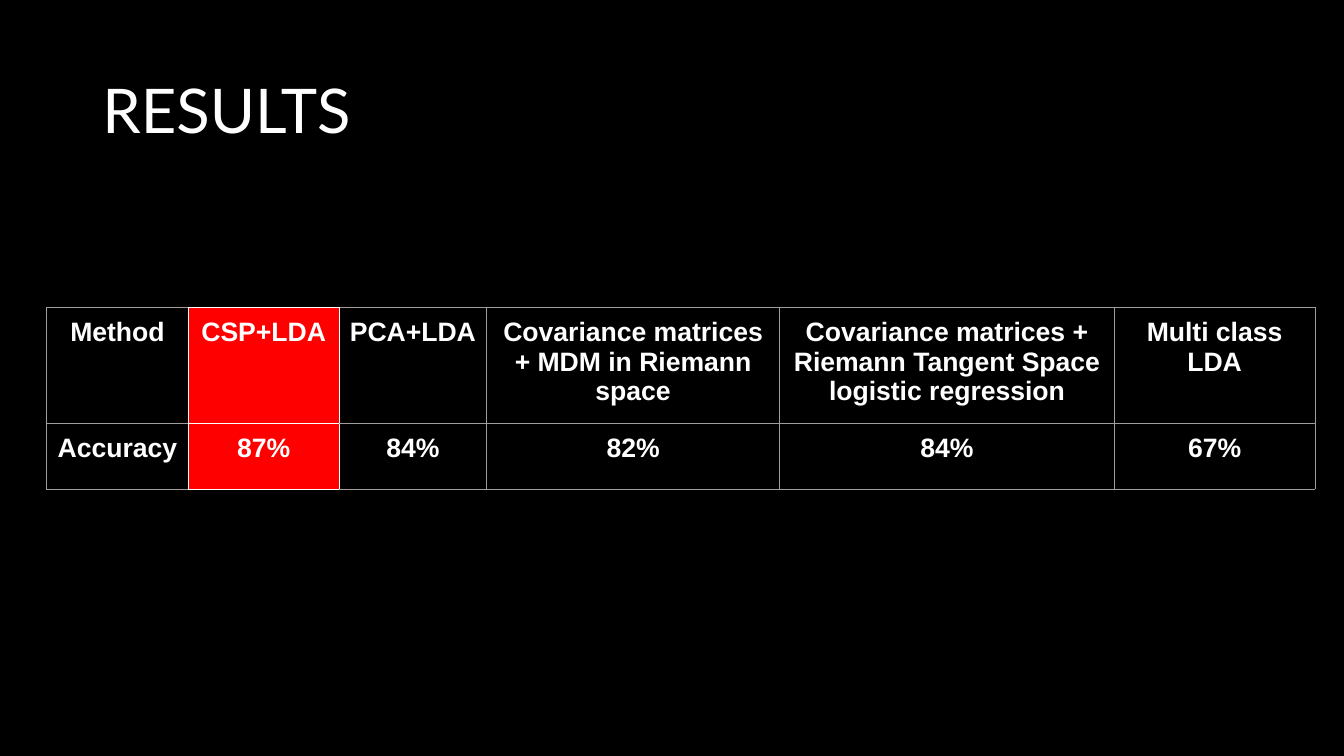
from lxml import etree
from pptx import Presentation
from pptx.dml.color import RGBColor
from pptx.enum import text
from pptx.oxml import ns
from pptx.util import Cm, Pt

# Content
TITLE = "RESULTS"
RESULTS = [
    ("Method", "Accuracy"),
    ("CSP+LDA", "87%"),
    ("PCA+LDA", "84%"),
    ("Covariance matrices + MDM in Riemann space", "82%"),
    ("Covariance matrices + Riemann Tangent Space logistic regression", "84%"),
    ("Multi class LDA", "67%"),
]
BEST = 1  # highlighted column

# Measures in centimetres
COLUMN_WIDTHS = [3.56, 3.81, 3.71, 7.39, 8.43, 5.06]
ROW_HEIGHTS = [2.75, 1.66]
TABLE_LEFT, TABLE_TOP = 1.18, 7.75
CELL_MARGIN = Cm(0.25)

BLACK = RGBColor(0x00, 0x00, 0x00)
WHITE = RGBColor(0xFF, 0xFF, 0xFF)
GREY = RGBColor(0x9E, 0x9E, 0x9E)
RED = RGBColor(0xFF, 0x00, 0x00)


def add_run(paragraph, words, font_name, size, bold=False):
    run = paragraph.add_run()
    run.text = words
    run.font.name = font_name
    run.font.size = Pt(size)
    run.font.bold = bold
    run.font.color.rgb = WHITE


def add_border(cell, side, color):
    properties = cell._tc.get_or_add_tcPr()
    line = etree.SubElement(properties, ns.qn("a:ln" + side), w=str(Pt(0.75)))
    fill = etree.SubElement(line, ns.qn("a:solidFill"))
    etree.SubElement(fill, ns.qn("a:srgbClr"), val=str(color))


def border_color(column, side):
    touches_best = (column == BEST or (column, side) in
                    [(BEST - 1, "R"), (BEST + 1, "L")])
    return WHITE if touches_best else GREY


def fill_cell(cell, words, column):
    cell.margin_left = cell.margin_right = CELL_MARGIN
    cell.margin_top = cell.margin_bottom = CELL_MARGIN
    for side in "LRTB":
        add_border(cell, side, border_color(column, side))
    if column == BEST:
        cell.fill.solid()
        cell.fill.fore_color.rgb = RED
    else:
        cell.fill.background()
    paragraph = cell.text_frame.paragraphs[0]
    paragraph.alignment = text.PP_ALIGN.CENTER
    add_run(paragraph, words, "Arial", 19, bold=True)


# Slide
presentation = Presentation()
presentation.slide_width = Cm(33.87)
presentation.slide_height = Cm(19.05)
slide = presentation.slides.add_slide(presentation.slide_layouts[6])
slide.background.fill.solid()
slide.background.fill.fore_color.rgb = BLACK

# Title
title = slide.shapes.add_textbox(Cm(2.33), Cm(1.01), Cm(29.21), Cm(3.68))
title.text_frame.word_wrap = True
title.text_frame.vertical_anchor = text.MSO_ANCHOR.MIDDLE
heading = title.text_frame.paragraphs[0]
heading.line_spacing = 0.9
add_run(heading, TITLE, "Lato", 44)

# Results table
table = slide.shapes.add_table(
    len(ROW_HEIGHTS), len(RESULTS), Cm(TABLE_LEFT), Cm(TABLE_TOP),
    Cm(sum(COLUMN_WIDTHS)), Cm(sum(ROW_HEIGHTS))).table
table.first_row = table.horz_banding = False
for row, height in zip(table.rows, ROW_HEIGHTS):
    row.height = Cm(height)
for column, (result, width) in enumerate(zip(RESULTS, COLUMN_WIDTHS)):
    table.columns[column].width = Cm(width)
    for row, words in enumerate(result):
        fill_cell(table.cell(row, column), words, column)

presentation.save("out.pptx")
